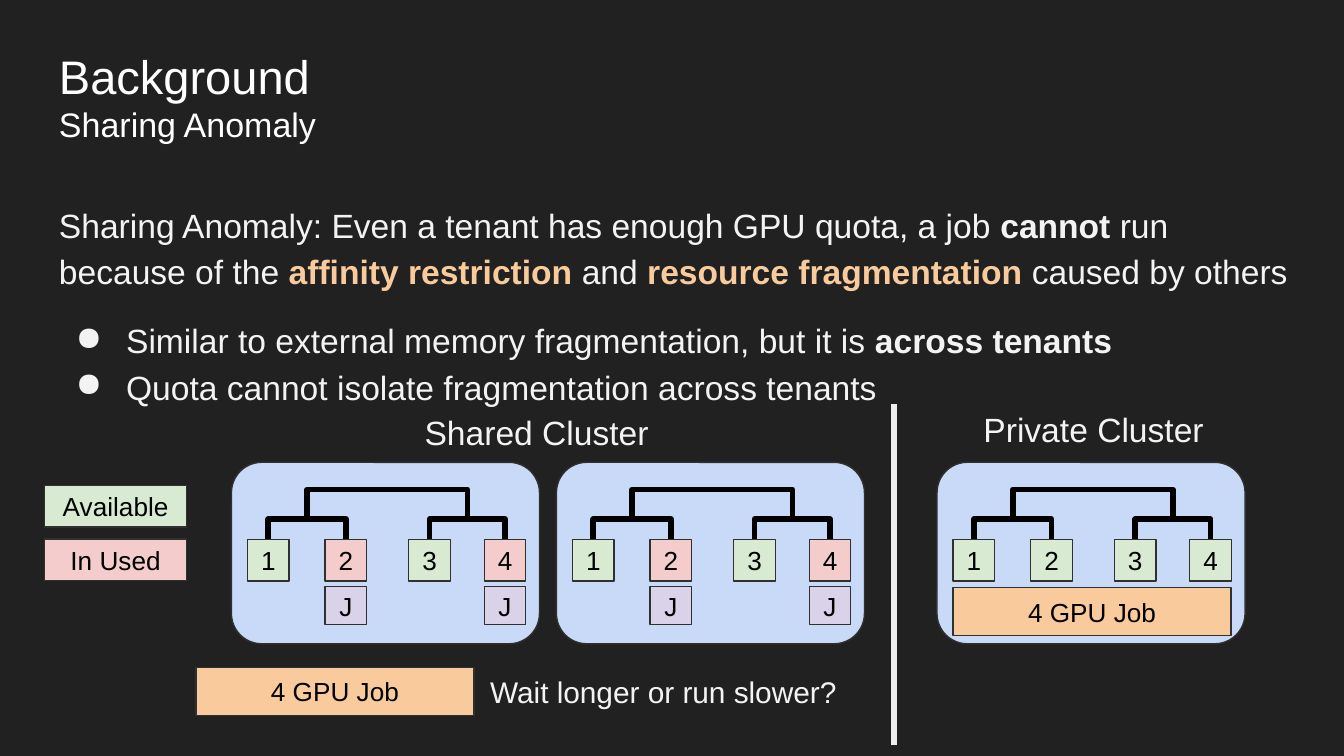
from lxml import etree
from pptx import Presentation
from pptx.dml.color import RGBColor
from pptx.enum.shapes import MSO_CONNECTOR, MSO_SHAPE
from pptx.enum.text import MSO_ANCHOR, PP_ALIGN
from pptx.oxml.ns import qn
from pptx.util import Pt

RECTANGLE, ROUNDED = MSO_SHAPE.RECTANGLE, MSO_SHAPE.ROUNDED_RECTANGLE
STRAIGHT = MSO_CONNECTOR.STRAIGHT
LEFT, CENTER = PP_ALIGN.LEFT, PP_ALIGN.CENTER
MIDDLE = MSO_ANCHOR.MIDDLE

COLORS = {
    "background": "212121", "white": "FFFFFF", "text": "F3F3F3",
    "black": "000000", "outline": "303030", "divider": "EFEFEF",
    "cluster": "C9DAF8", "available": "D9EAD3", "used": "F4CCCC",
    "job": "F9CB9C", "small_job": "D9D2E9",
}
FONT = "Arial"
INSET = 7.2
GPU_SIZE = 22.3
GPU_LEFTS = (8.6, 50.2, 95, 135.4)
GPU_TOP = 41.2
JOB_TOP = 67
JOB_SIZE = (149, 25.9)
CLUSTER_SIZE = (165, 97.2)
CLUSTER_TOP = 247.7


def color(name):
    return RGBColor.from_string(COLORS[name])


def add_run(paragraph, text, size, color_name, bold=False):
    run = paragraph.add_run()
    run.text = text
    formats = {"name": FONT, "size": Pt(size), "bold": bold}
    for attribute, value in formats.items():
        setattr(run.font, attribute, value)
    run.font.color.rgb = color(color_name)


def set_frame(frame, **formats):
    margins = ("margin_left", "margin_top", "margin_right", "margin_bottom")
    settings = dict.fromkeys(margins, Pt(INSET))
    settings.update(word_wrap=True, **formats)
    for attribute, value in settings.items():
        setattr(frame, attribute, value)


def add_text(slide, box, paragraphs):
    """Add a text box; each paragraph is a list of (text, size, color, bold)."""
    frame = slide.shapes.add_textbox(*map(Pt, box)).text_frame
    set_frame(frame)
    for index, runs in enumerate(paragraphs):
        paragraph = frame.add_paragraph() if index else frame.paragraphs[0]
        for run in runs:
            add_run(paragraph, *run)
    return frame


def add_block(slide, box, fill, text=None, kind=RECTANGLE):
    shape = slide.shapes.add_shape(kind, *map(Pt, box))
    shape.shadow.inherit = False
    shape.fill.solid()
    shape.fill.fore_color.rgb = color(fill)
    shape.line.color.rgb = color("outline")
    shape.line.width = Pt(0.75)
    if text:
        set_frame(shape.text_frame, vertical_anchor=MIDDLE)
        paragraph = shape.text_frame.paragraphs[0]
        paragraph.alignment = CENTER
        add_run(paragraph, text, 14, "black")


def add_bracket(slide, left, right, top, bottom):
    """Draw the open three-sided link between two tree children."""
    builder = slide.shapes.build_freeform(Pt(left), Pt(bottom))
    corners = [(left, top), (right, top), (right, bottom)]
    builder.add_line_segments([(Pt(x), Pt(y)) for x, y in corners], close=False)
    shape = builder.convert_to_shape()
    shape.shadow.inherit = False
    shape.fill.background()
    shape.line.color.rgb = color("black")
    shape.line.width = Pt(3)


def add_cluster(slide, box, used=()):
    """Draw four GPUs under a two-level tree, with a small job on each used GPU."""
    left, top = box[:2]
    add_block(slide, box, "cluster", kind=ROUNDED)
    centers = [left + offset + GPU_SIZE / 2 for offset in GPU_LEFTS]
    gpu_top, branch_top = top + GPU_TOP, top + 30.5
    pairs = (centers[:2], centers[2:])
    for first, second in pairs:
        add_bracket(slide, first, second, branch_top, gpu_top)
    add_bracket(slide, *(sum(pair) / 2 for pair in pairs), top + 14.6, branch_top)
    for number, offset in enumerate(GPU_LEFTS, 1):
        state = "used" if number in used else "available"
        gpu_left = left + offset
        add_block(slide, (gpu_left, gpu_top, GPU_SIZE, GPU_SIZE), state, str(number))
        if number in used:
            add_block(slide, (gpu_left, top + JOB_TOP - 0.4, GPU_SIZE, 20.4),
                      "small_job", "J")


def add_title(slide, box):
    add_text(slide, box, [[("Background", 25.2, "white")],
                          [("Sharing Anomaly", 18.2, "white")]])


def add_body(slide, box):
    def plain(text):
        return text, 18, "text"

    def strong(text, color_name="text"):
        return text, 18, color_name, True

    frame = add_text(slide, box, [
        [plain("Sharing Anomaly: Even a tenant has enough GPU quota, a job "),
         strong("cannot"), plain(" run because of the "),
         strong("affinity restriction", "job"), plain(" and "),
         strong("resource fragmentation ", "job"), plain("caused by others")],
        [plain("Similar to external memory fragmentation, but it is "),
         strong("across tenants")],
        [plain("Quota cannot isolate fragmentation across tenants")],
    ])
    for paragraph in frame.paragraphs:
        paragraph.line_spacing = 1.15
    bullets = frame.paragraphs[1:]
    bullets[0].space_before = Pt(12)
    for paragraph in bullets:
        properties = paragraph._p.get_or_add_pPr()
        properties.set("marL", str(Pt(36)))
        properties.set("indent", str(Pt(-27)))
        bullet_color = etree.SubElement(properties, qn("a:buClr"))
        etree.SubElement(bullet_color, qn("a:srgbClr"), val=COLORS["text"])
        etree.SubElement(properties, qn("a:buChar"), char="●")


def add_legend(slide, box):
    left, top, width, height = box
    entries = (("Available", "available"), ("In Used", "used"))
    row_height = GPU_SIZE
    step = height - row_height
    for row, (label, fill) in enumerate(entries):
        add_block(slide, (left, top + row * step, width, row_height), fill, label)


def add_divider(slide, x, top, bottom):
    line = slide.shapes.add_connector(STRAIGHT, Pt(x), Pt(top), Pt(x), Pt(bottom))
    line.line.color.rgb = color("divider")
    line.line.width = Pt(3)
    etree.SubElement(line._element.spPr, qn("a:effectLst"))


def add_shared_side(slide, box):
    left, top = box[:2]
    for index in range(2):
        add_cluster(slide, (left + index * 174.1, top, *CLUSTER_SIZE), used=(2, 4))
    add_block(slide, (left - 19, top + 109.8, *JOB_SIZE), "job", "4 GPU Job")
    add_text(slide, (left + 131.5, top + 105.8, 228, 34),
             [[("Wait longer or run slower?", 16, "text")]])
    add_text(slide, (left + 96.4, top - 34, 141, 36),
             [[("Shared Cluster", 18, "text")]])


def add_private_side(slide, box):
    left, top = box[:2]
    add_cluster(slide, box)
    add_block(slide, (left + GPU_LEFTS[0], top + JOB_TOP, *JOB_SIZE),
              "job", "4 GPU Job")
    add_text(slide, (left + 17.8, top - 36, 141, 36),
             [[("Private Cluster", 18, "text")]])


def main():
    presentation = Presentation()
    presentation.slide_width, presentation.slide_height = Pt(720), Pt(405)
    slide = presentation.slides.add_slide(presentation.slide_layouts[6])
    slide.background.fill.solid()
    slide.background.fill.fore_color.rgb = color("background")
    add_title(slide, (24.5, 18, 671, 68.4))
    add_body(slide, (24.5, 99.4, 680, 260))
    add_legend(slide, (23.8, 260, 76.3, 51.1))
    add_shared_side(slide, (124, CLUSTER_TOP, 339.1, 133))
    add_private_side(slide, (502, CLUSTER_TOP, *CLUSTER_SIZE))
    add_divider(slide, 478.8, 216.7, 398.9)
    presentation.save("out.pptx")


if __name__ == "__main__":
    main()
